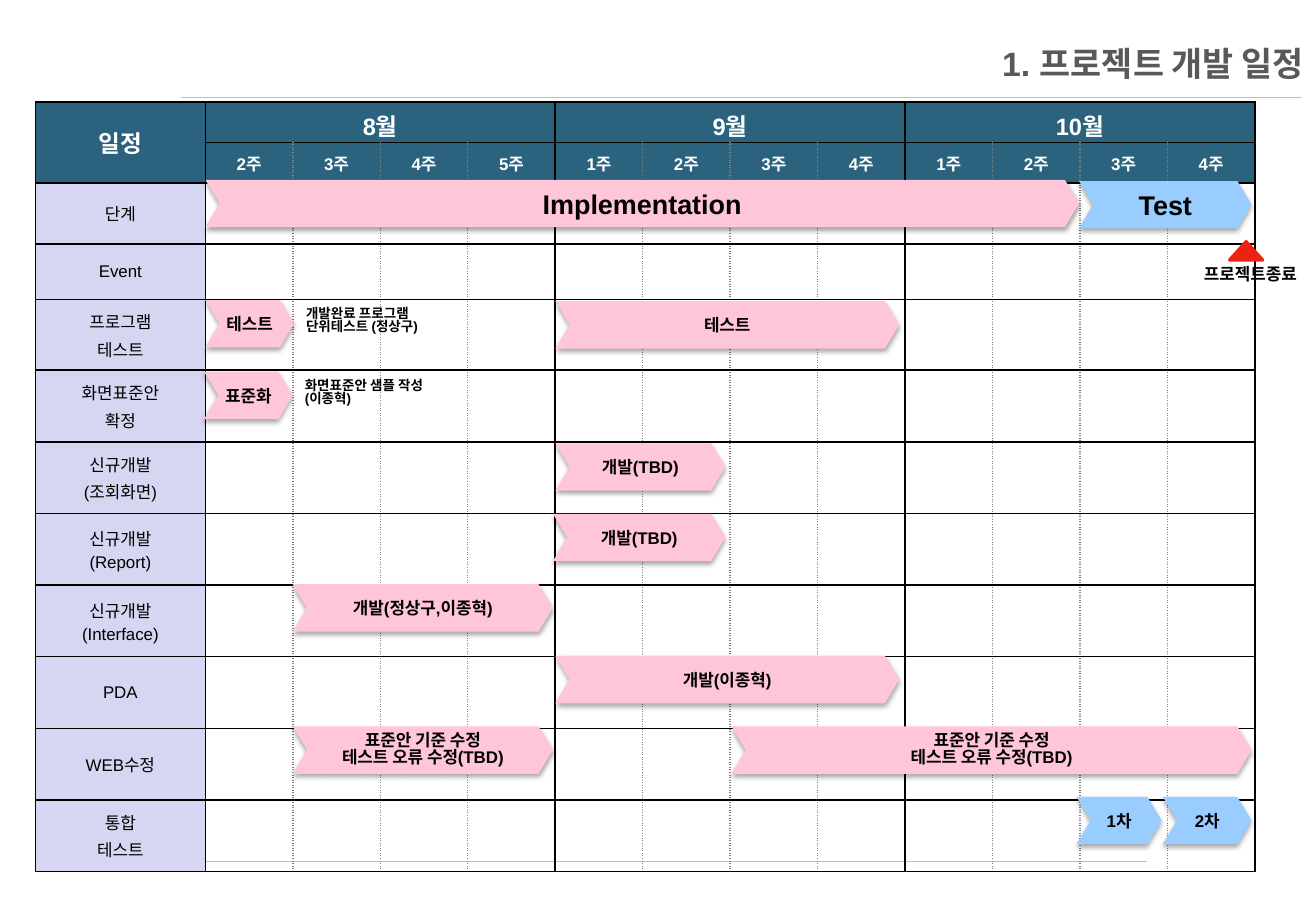
"""Build the project development schedule slide."""
from dataclasses import dataclass

from lxml import etree
from pptx import Presentation
from pptx.dml.color import RGBColor
from pptx.enum import dml, shapes, text
from pptx.oxml import ns
from pptx.util import Inches, Pt

PINK, BLUE, RED = "FFC5D8", "99CCFF", "EE2212"
TEAL, LAVENDER = "2B637F", "D6D6F2"
BLACK, WHITE, GRAY, SILVER = "000000", "FFFFFF", "808080", "BFBFBF"
BAR_HEIGHT = 0.39
WEEKS_PER_MONTH = 4
MONTHS = ["8월", "9월", "10월"]
WEEKS = ["2주", "3주", "4주", "5주"] + ["1주", "2주", "3주", "4주"] * 2
TASKS = ["단계", "Event", "프로그램\n테스트", "화면표준안\n확정", "신규개발\n(조회화면)",
         "신규개발\n(Report)", "신규개발\n(Interface)", "PDA", "WEB수정", "통합\n테스트"]
ROW_HEIGHTS = [0.32, 0.26, 0.5, 0.46, 0.58] + [0.59] * 7
FIX_TEXT = "표준안 기준 수정\n테스트 오류 수정(TBD)"


@dataclass
class Bar:
    label: str
    left: float
    top: float
    width: float
    color: str = PINK
    size: int = 10


@dataclass
class Label:
    label: str
    left: float
    top: float
    width: float
    height: float
    size: int
    align: text.PP_ALIGN = text.PP_ALIGN.LEFT
    line_spacing: float = 1.0


@dataclass
class Rule:
    left: float
    right: float
    top: float


RULES = [Rule(1.49, 10.71, 0.8), Rule(0.69, 9.43, 7.09)]
TITLE = Label("1. 프로젝트 개발 일정", 1.08, 0.29, 9.75, 0.45, 20, text.PP_ALIGN.RIGHT)
LABELS = [
    Label("프로젝트종료", 9.43, 2.12, 1.34, 0.27, 10, text.PP_ALIGN.RIGHT),
    Label("개발완료 프로그램\n단위테스트 (정상구)", 2.42, 2.49, 1.32, 0.37, 8, line_spacing=0.8),
    Label("화면표준안 샘플 작성(이종혁)", 2.41, 3.08, 1.32, 0.37, 8, line_spacing=0.8),
]
BARS = [
    Bar("Implementation", 1.69, 1.48, 7.19, size=16),
    Bar("Test", 8.88, 1.49, 1.42, BLUE, 16),
    Bar("2차", 9.57, 6.56, 0.73, BLUE),
    Bar("1차", 8.86, 6.56, 0.7, BLUE),
    Bar("테스트", 1.69, 2.47, 0.73),
    Bar("테스트", 4.57, 2.48, 2.83),
    Bar("표준화", 1.68, 3.06, 0.73),
    Bar("개발(TBD)", 4.57, 3.65, 1.4),
    Bar("개발(TBD)", 4.55, 4.23, 1.42),
    Bar("개발(정상구,이종혁)", 2.41, 4.81, 2.14),
    Bar("개발(이종혁)", 4.57, 5.4, 2.83),
    Bar(FIX_TEXT, 2.41, 5.98, 2.14),
    Bar(FIX_TEXT, 6.02, 5.98, 4.28),
]


def rgb(color: str) -> RGBColor:
    return RGBColor.from_string(color)


def add_element(parent, tag: str, **attributes: str):
    element = etree.SubElement(parent, ns.qn(tag))
    for name, value in attributes.items():
        element.set(name, value)
    return element


def write(frame, content: str, size: int, color: str = BLACK, bold: bool = True,
          align: text.PP_ALIGN = text.PP_ALIGN.CENTER,
          before: float = 0, line_spacing: float = 1.0) -> None:
    frame.text = content
    for paragraph in frame.paragraphs:
        paragraph.alignment = align
        paragraph.space_before = Pt(before)
        paragraph.line_spacing = line_spacing
        for run in paragraph.runs:
            run.font.name = "Arial"
            run.font.size = Pt(size)
            run.font.bold = bold
            run.font.color.rgb = rgb(color)


def draw_rule(slide, rule: Rule) -> None:
    line = slide.shapes.add_connector(
        shapes.MSO_CONNECTOR.STRAIGHT, Inches(rule.left), Inches(rule.top),
        Inches(rule.right), Inches(rule.top))
    line.line.color.rgb = rgb(SILVER)
    line.line.width = Pt(0.25)
    line.line.dash_style = dml.MSO_LINE.ROUND_DOT
    add_element(line._element.spPr, "a:effectLst")


def draw_label(slide, label: Label):
    box = slide.shapes.add_textbox(Inches(label.left), Inches(label.top),
                                   Inches(label.width), Inches(label.height))
    box.text_frame.word_wrap = True
    write(box.text_frame, label.label, label.size, align=label.align,
          line_spacing=label.line_spacing)
    return box


def draw_title(slide) -> None:
    frame = draw_label(slide, TITLE).text_frame
    frame.vertical_anchor = text.MSO_ANCHOR.MIDDLE
    fill = frame.paragraphs[0].runs[0].font.fill
    fill.gradient()
    fill.gradient_angle = 90
    for stop, color in zip(fill.gradient_stops, ["595959", "262626"]):
        stop.color.rgb = rgb(color)


def set_borders(cell, left: bool, right: bool) -> None:
    properties = cell._tc.get_or_add_tcPr()
    for side, solid in (("L", left), ("R", right), ("T", True), ("B", True)):
        line = add_element(properties, f"a:ln{side}", w=str(Pt(1)))
        fill = add_element(line, "a:solidFill")
        add_element(fill, "a:srgbClr", val=BLACK if solid else GRAY)
        add_element(line, "a:prstDash", val="solid" if solid else "dot")


def fill_cell(cell, content: str, size: int, color: str = WHITE, bold: bool = True) -> None:
    cell.vertical_anchor = text.MSO_ANCHOR.MIDDLE
    write(cell.text_frame, content, size, color, bold, before=size * 0.2)


def draw_schedule(slide) -> None:
    table = slide.shapes.add_table(
        len(ROW_HEIGHTS), len(WEEKS) + 1, Inches(0.29), Inches(0.84),
        Inches(10.01), Inches(6.23)).table
    table.first_row = table.horz_banding = False
    for index, column in enumerate(table.columns):
        column.width = Inches(0.72 if index else 1.4)
    for row, height in zip(table.rows, ROW_HEIGHTS):
        row.height = Inches(height)
    for row_index, row in enumerate(table.rows):
        for index, cell in enumerate(row.cells):
            whole = row_index == 0 or index == 0
            set_borders(cell, whole or index % WEEKS_PER_MONTH == 1,
                        whole or index % WEEKS_PER_MONTH == 0)
            if row_index > 1 and index > 0:
                cell.fill.background()
            else:
                cell.fill.solid()
                cell.fill.fore_color.rgb = rgb(TEAL if row_index < 2 else LAVENDER)
    table.cell(0, 0).merge(table.cell(1, 0))
    fill_cell(table.cell(0, 0), "일정", 14)
    for index, month in enumerate(MONTHS):
        first = index * WEEKS_PER_MONTH + 1
        table.cell(0, first).merge(table.cell(0, first + WEEKS_PER_MONTH - 1))
        fill_cell(table.cell(0, first), month, 14)
    for index, week in enumerate(WEEKS, 1):
        fill_cell(table.cell(1, index), week, 10)
    for index, task in enumerate(TASKS, 2):
        fill_cell(table.cell(index, 0), task, 10, BLACK, False)


def draw_shape(slide, kind: shapes.MSO_SHAPE, left: float, top: float,
               width: float, height: float, color: str):
    shape = slide.shapes.add_shape(kind, Inches(left), Inches(top),
                                   Inches(width), Inches(height))
    shape.shadow.inherit = False
    shape.fill.solid()
    shape.fill.fore_color.rgb = rgb(color)
    shape.line.fill.background()
    return shape


def draw_bar(slide, bar: Bar) -> None:
    shape = draw_shape(slide, shapes.MSO_SHAPE.CHEVRON, bar.left, bar.top,
                       bar.width, BAR_HEIGHT, bar.color)
    shape.adjustments[0] = 0.3
    effects = shape._element.spPr.find(ns.qn("a:effectLst"))
    shadow = add_element(effects, "a:outerShdw", blurRad=str(Pt(3.1)), dist=str(Pt(1.8)),
                         dir="5400000", rotWithShape="0")
    add_element(add_element(shadow, "a:srgbClr", val=BLACK), "a:alpha", val="35000")
    frame = shape.text_frame
    frame.margin_left = frame.margin_right = 0
    frame.vertical_anchor = text.MSO_ANCHOR.MIDDLE
    write(frame, bar.label, bar.size, line_spacing=0.8 if "\n" in bar.label else 1.0)


def main() -> None:
    presentation = Presentation()
    presentation.slide_width, presentation.slide_height = Inches(10.83), Inches(7.5)
    slide = presentation.slides.add_slide(presentation.slide_layouts[6])
    for rule in RULES:
        draw_rule(slide, rule)
    draw_title(slide)
    draw_schedule(slide)
    for bar in BARS:
        draw_bar(slide, bar)
    marker = draw_shape(slide, shapes.MSO_SHAPE.ISOSCELES_TRIANGLE, 10.12, 1.99, 0.27, 0.15, RED)
    marker.line.color.rgb = rgb(RED)
    marker.line.width = Pt(2)
    for label in LABELS:
        draw_label(slide, label)
    presentation.save("out.pptx")


if __name__ == "__main__":
    main()
